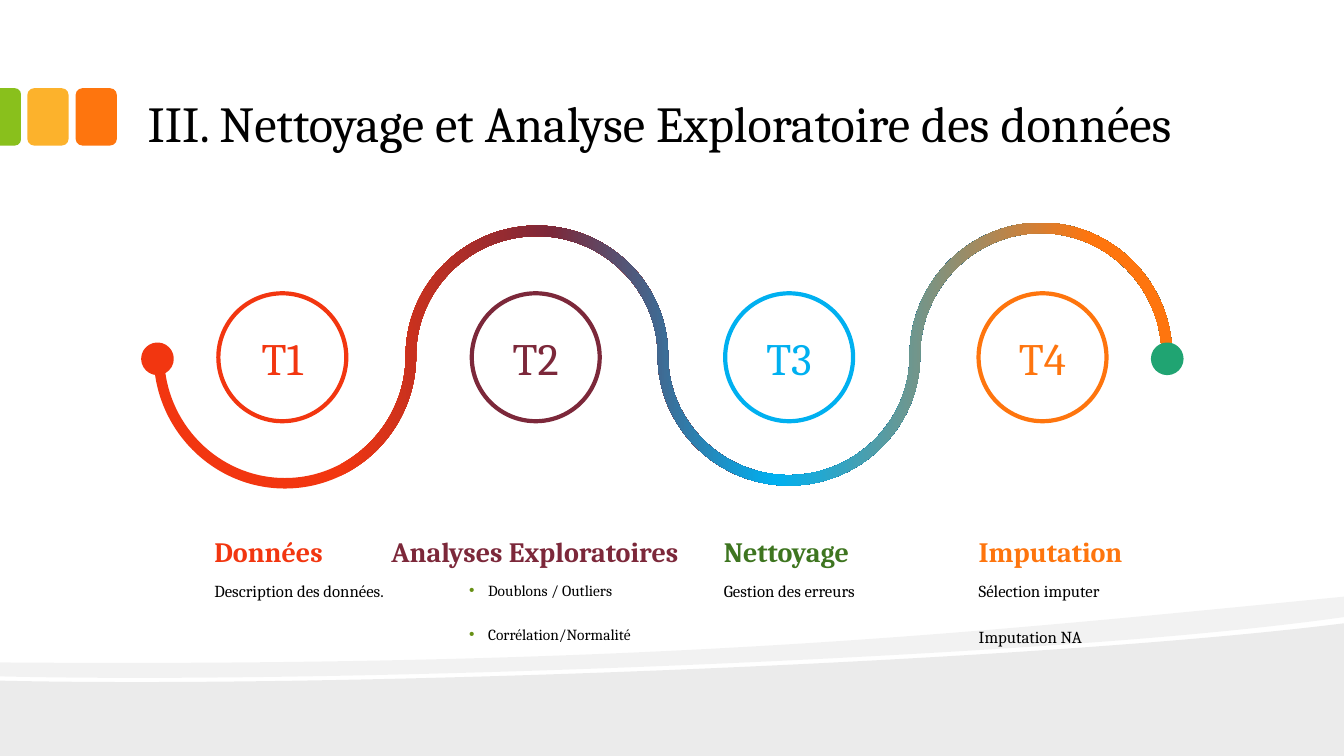
from lxml import etree
from pptx import Presentation
from pptx import util as u
from pptx.dml.color import RGBColor
from pptx.enum import shapes, text
from pptx.oxml import ns

RED = RGBColor(0xF2, 0x36, 0x10)
MAROON = RGBColor(0x7C, 0x28, 0x3A)
BLUE = RGBColor(0x00, 0xB0, 0xF0)
ORANGE = RGBColor(0xFE, 0x75, 0x0E)
GREEN = RGBColor(0x3E, 0x75, 0x20)
TEAL = RGBColor(0x20, 0xA4, 0x72)
LIME = RGBColor(0x89, 0xC0, 0x1C)
AMBER = RGBColor(0xFC, 0xB2, 0x2C)
BULLET = RGBColor(0x67, 0x90, 0x15)
BLACK = RGBColor(0, 0, 0)
WHITE = RGBColor(0xFF, 0xFF, 0xFF)

FONT = "Cambria"
ARC = 0.55  # control point distance of a quarter arc, relative to its radius
WAVE_STOPS = [(18, RED), (39, MAROON), (61, BLUE), (92, ORANGE)]
STEPS = [
    ("T1", RED, "Données", RED, ["Description des données."]),
    ("T2", MAROON, "Analyses Exploratoires", MAROON,
     ["Doublons / Outliers", "Corrélation/Normalité"]),
    ("T3", BLUE, "Nettoyage", GREEN, ["Gestion des erreurs"]),
    ("T4", ORANGE, "Imputation", ORANGE, ["Sélection imputer", "Imputation NA"]),
]


def add_shape(slide, kind, box, fill, line=None, line_width=0):
    shape = slide.shapes.add_shape(kind, *map(u.Pt, box))
    shape.shadow.inherit = False
    shape.fill.solid()
    shape.fill.fore_color.rgb = fill
    if line is None:
        shape.line.fill.background()
    else:
        shape.line.color.rgb = line
        shape.line.width = u.Pt(line_width)
    return shape


def add_outline(slide, start, segments):
    """Draw a closed outline; a segment of one point is a line, one of three a Bézier curve."""
    builder = slide.shapes.build_freeform(*map(u.Pt, start))
    builder.add_line_segments([(u.Pt(x), u.Pt(y)) for segment in segments for x, y in segment])
    shape = builder.convert_to_shape()
    shape.shadow.inherit = False
    shape.line.fill.background()

    outline = shape._element.spPr.find(".//" + ns.qn("a:path"))
    lines = iter(outline.findall(ns.qn("a:lnTo")))
    for segment in segments:
        first, *others = [next(lines) for _ in segment]
        if others:
            bezier = etree.Element(ns.qn("a:cubicBezTo"))
            first.addprevious(bezier)
            for line in (first, *others):
                bezier.append(line[0])
                outline.remove(line)
    etree.SubElement(outline, ns.qn("a:close"))
    return shape


def curves(points):
    """Split a chain of points, without its start, into Bézier segments."""
    return [points[index:index + 3] for index in range(0, len(points), 3)]


def add_run(paragraph, words, size, color, bold=False):
    run = paragraph.add_run()
    run.text = words
    run.font.name = FONT
    run.font.size = u.Pt(size)
    run.font.bold = bold
    run.font.color.rgb = color


def add_text_frame(slide, box, anchor=text.MSO_ANCHOR.TOP):
    frame = slide.shapes.add_textbox(*map(u.Pt, box)).text_frame
    frame.word_wrap = True
    frame.vertical_anchor = anchor
    frame.margin_left = frame.margin_right = u.Pt(9.6)
    frame.margin_top = frame.margin_bottom = u.Pt(4.8)
    return frame


def add_bullet(paragraph):
    properties = paragraph._p.get_or_add_pPr()
    properties.set("marL", str(u.Pt(13.5)))
    properties.set("indent", str(-u.Pt(13.5)))
    color = etree.SubElement(properties, ns.qn("a:buClr"))
    etree.SubElement(color, ns.qn("a:srgbClr"), val=str(BULLET))
    etree.SubElement(properties, ns.qn("a:buFont"), typeface="Arial")
    etree.SubElement(properties, ns.qn("a:buChar"), char="•")


def add_footer(slide, left, top, width, height):
    """Add the two translucent grey swooshes along the bottom edge."""
    front = [[(width, height)], [(0, height)], [(0, 60)],
             [(253, 65.8), (750, 45.6), (width, 19)]]
    back = [[(width, 14.6)],
            [(903.6, 22.6), (827.3, 29.8), (740.9, 35.5)],
            [(502.6, 51.4), (185.8, 61.4), (0, 57)],
            [(0, 47)],
            [(469.4, 50.6), (699, 25.4), (width, 0)]]
    for segments, opacity in ((front, 8), (back, 5)):
        placed = [[(left + x, top + y) for x, y in segment] for segment in segments]
        shape = add_outline(slide, placed[-1][-1], placed)
        shape.fill.solid()
        shape.fill.fore_color.rgb = BLACK
        color = shape._element.spPr.find(".//" + ns.qn("a:srgbClr"))
        etree.SubElement(color, ns.qn("a:alpha"), val=str(opacity * 1000))


def add_tabs(slide, left, top, width, height):
    """Add three coloured tabs, the first one cut by the slide edge."""
    tab, pitch = 29.5, 34.5
    for index, color in enumerate((ORANGE, AMBER)):
        add_shape(slide, shapes.MSO_SHAPE.ROUNDED_RECTANGLE,
                  (left + width - tab - index * pitch, top, tab, height), color)
    cut = 15
    shape = add_shape(slide, shapes.MSO_SHAPE.ROUND_2_SAME_RECTANGLE,
                      (left + (cut - height) / 2, top + (height - cut) / 2, height, cut), LIME)
    shape.adjustments[0] = 0.29
    shape.adjustments[1] = 0
    shape.rotation = 90


def add_title(slide, *box):
    frame = add_text_frame(slide, box, text.MSO_ANCHOR.BOTTOM)
    add_run(frame.paragraphs[0], "III. Nettoyage et Analyse Exploratoire des données", 36, BLACK)


def add_circles(slide, left, top, size, pitch):
    for index, (label, color, *_) in enumerate(STEPS):
        circle = add_shape(slide, shapes.MSO_SHAPE.OVAL,
                           (left + index * pitch, top, size, size), WHITE, color, 3)
        circle.text_frame.vertical_anchor = text.MSO_ANCHOR.MIDDLE
        paragraph = circle.text_frame.paragraphs[0]
        paragraph.alignment = text.PP_ALIGN.CENTER
        add_run(paragraph, label, 32, color)


def wave_edge(left, middle, radius, offset):
    """Return the chain of points of one ribbon edge, two quarter arcs to each step."""
    points = [(left - offset, middle)]
    for index, depth in enumerate((91.2, 89.1, 89.1, 91.2)):
        side = 1 if index % 2 == 0 else -1
        center = left + radius * (2 * index + 1)
        reach = radius + side * offset
        drop = side * depth + offset
        points += [(center + reach * x, middle + drop * y) for x, y in
                   ((-1, ARC), (-ARC, 1), (0, 1), (ARC, 1), (1, ARC), (1, 0))]
    return points


def add_wave(slide, left, middle, radius, thickness):
    """Add a ribbon of arcs, below and above the middle in turn, with end dots."""
    lower = wave_edge(left, middle, radius, thickness / 2)
    upper = wave_edge(left, middle, radius, -thickness / 2)[::-1]
    ribbon = add_outline(slide, lower[0], curves(lower[1:]) + [upper[:1]] + curves(upper[1:]))
    ribbon.fill.gradient()
    ribbon.fill.gradient_angle = 0
    stops = ribbon._element.spPr.find(".//" + ns.qn("a:gsLst"))
    for stop in list(stops):
        stops.remove(stop)
    for position, color in WAVE_STOPS:
        stop = etree.SubElement(stops, ns.qn("a:gs"), pos=str(position * 1000))
        etree.SubElement(stop, ns.qn("a:srgbClr"), val=str(color))

    dot = 17.3
    span = 2 * radius * len(STEPS)
    for center, color in ((left - 1, RED), (left + span + 0.3, TEAL)):
        add_shape(slide, shapes.MSO_SHAPE.OVAL,
                  (center - dot / 2, middle + 2.3 - dot / 2, dot, dot), color, color, 6)


def add_captions(slide, left, top, pitch):
    """Add a heading and its details under each step."""
    for index, (label, _, heading, color, details) in enumerate(STEPS):
        column = left + index * pitch
        is_wide = label == "T2"
        heading_box = (270, top, 237, 31) if is_wide else (column, top, 141, 24)
        paragraph = add_text_frame(slide, heading_box).paragraphs[0]
        paragraph.line_spacing = 0.9
        add_run(paragraph, heading, 20, color, bold=True)

        frame = add_text_frame(slide, (column, top + 30.8, 142.5, 55.5))
        for number, detail in enumerate(details):
            paragraph = frame.add_paragraph() if number else frame.paragraphs[0]
            paragraph.space_before = u.Pt(18)
            if is_wide:
                add_bullet(paragraph)
            add_run(paragraph, detail, 11 if is_wide else 12, BLACK)


def main():
    presentation = Presentation()
    presentation.slide_width, presentation.slide_height = u.Pt(960), u.Pt(540)
    slide = presentation.slides.add_slide(presentation.slide_layouts[6])
    add_footer(slide, 0, 426.2, 960, 113.8)
    add_tabs(slide, 0, 63, 83.5, 41)
    add_circles(slide, 156, 209.5, 91.4, 181)
    add_wave(slide, 113.5, 254, 90, 7.5)
    add_captions(slide, 143.5, 379.4, 182)
    add_title(slide, 95.9, 11.7, 767.5, 102.2)
    presentation.save("out.pptx")


if __name__ == "__main__":
    main()
